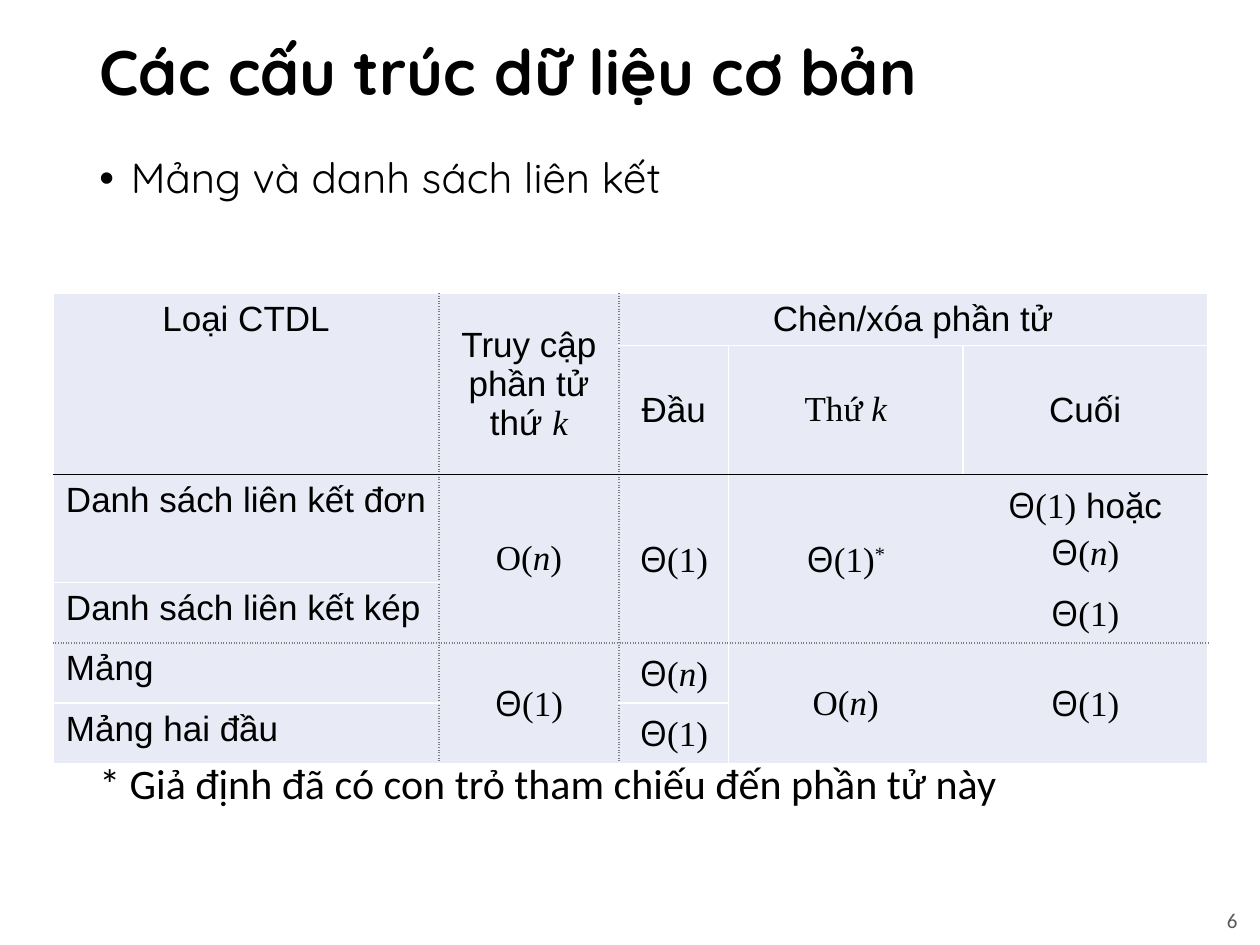
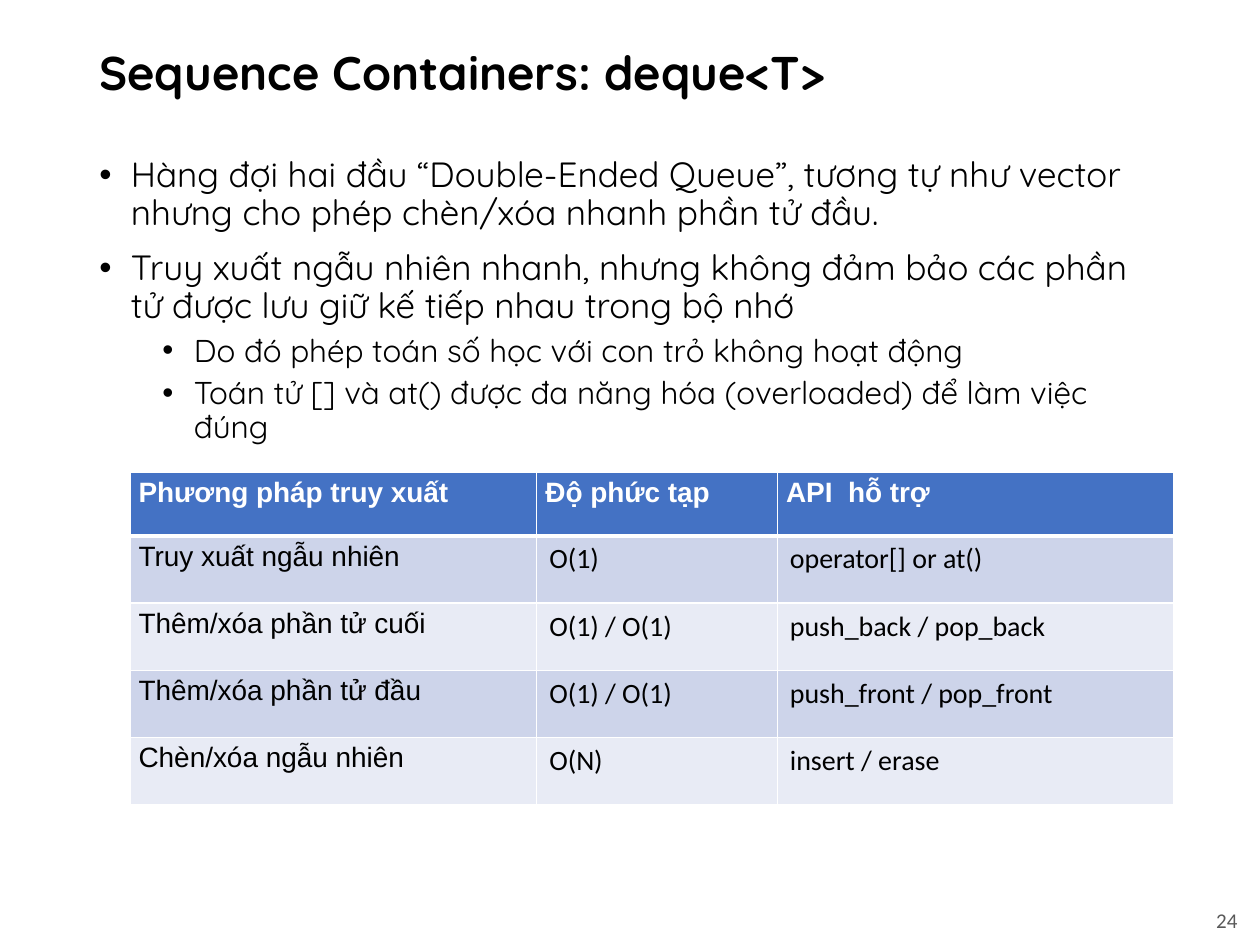
import pptx
import pptx.util
from lxml import etree
from pptx.dml.color import RGBColor
from pptx.enum.text import MSO_ANCHOR, PP_ALIGN
from pptx.oxml.ns import qn

Pt = pptx.util.Pt

BLACK = RGBColor(0x00, 0x00, 0x00)
WHITE = RGBColor(0xFF, 0xFF, 0xFF)
DOT_GRAY = RGBColor(0x7F, 0x7F, 0x7F)
NUMBER_GRAY = RGBColor(0x59, 0x59, 0x59)
HEADER_BLUE = RGBColor(0x44, 0x72, 0xC4)
BAND_DARK = RGBColor(0xCD, 0xD4, 0xEA)
BAND_LIGHT = RGBColor(0xE8, 0xEB, 0xF5)

CONTENT_LEFT, CONTENT_WIDTH = 49.7, 620.6
WIDE_INSETS = (7.2, 3.6)
NARROW_INSETS = (5, 2.9)
CENTERED_INSETS = (7.2, 0)

BULLET_LEVELS = [
    {"margin": 18, "space_before": 10},
    {"margin": 54, "space_before": 5},
]

# Runs of the complexity table: (text, font format)
SANS = {"name": "Arial"}
SERIF = {"name": "Times New Roman"}
ITALIC = {"name": "Times New Roman", "italic": True}
THETA = ("Θ", {"name": "Open Sans"})
THETA_1 = [THETA, ("(1)", SERIF)]
THETA_N = [THETA, ("(", SERIF), ("n", ITALIC), (")", SERIF)]
BIG_O_N = [("O(", SERIF), ("n", ITALIC), (")", SERIF)]

# Borders: (colour, width, dash)
WHITE_LINE = (WHITE, 1, "solid")
HEADER_LINE = (WHITE, 3, "solid")
BLACK_LINE = (BLACK, 1, "solid")
DOTTED_LINE = (DOT_GRAY, 1, "sysDot")

# (row, column, rows spanned, columns spanned, runs)
COMPLEXITY_CELLS = [
    (0, 0, 2, 1, [("Loại CTDL", SANS)]),
    (0, 1, 2, 1, [("Truy cập phần tử thứ ", SANS), ("k", ITALIC)]),
    (0, 2, 1, 3, [("Chèn/xóa phần tử", SANS)]),
    (1, 2, 1, 1, [("Đầu", SANS)]),
    (1, 3, 1, 1, [("Thứ", SERIF), (" k", ITALIC)]),
    (1, 4, 1, 1, [("Cuối", SANS)]),
    (2, 0, 1, 1, [("Danh sách liên kết đơn", SANS)]),
    (2, 1, 2, 1, BIG_O_N),
    (2, 2, 2, 1, THETA_1),
    (2, 3, 2, 1, THETA_1 + [("*", SERIF)]),
    (2, 4, 1, 1, THETA_1 + [(" hoặc ", SANS)] + THETA_N),
    (3, 0, 1, 1, [("Danh sách liên kết kép", SANS)]),
    (3, 4, 1, 1, THETA_1),
    (4, 0, 1, 1, [("Mảng", SANS)]),
    (4, 1, 2, 1, THETA_1),
    (4, 2, 1, 1, THETA_N),
    (4, 3, 2, 1, BIG_O_N),
    (4, 4, 2, 1, THETA_1),
    (5, 0, 1, 1, [("Mảng hai đầu", SANS)]),
    (5, 2, 1, 1, THETA_1),
]

DEQUE_ROWS = [
    ("Phương pháp truy xuất", "Độ phức tạp", "API  hỗ trợ"),
    ("Truy xuất ngẫu nhiên", "O(1)", "operator[] or at()"),
    ("Thêm/xóa phần tử cuối", "O(1) / O(1)", "push_back / pop_back"),
    ("Thêm/xóa phần tử đầu", "O(1) / O(1)", "push_front / pop_front"),
    ("Chèn/xóa ngẫu nhiên", "O(N)", "insert / erase"),
]


def set_all(target, **values):
    for attribute, value in values.items():
        setattr(target, attribute, value)


def add_run(paragraph, text, size, color=BLACK, **font_format):
    run = paragraph.add_run()
    run.text = text
    set_all(run.font, size=Pt(size), **font_format)
    run.font.color.rgb = color
    return run


def set_insets(holder, insets):
    side, top = map(Pt, insets)
    set_all(holder, margin_left=side, margin_right=side,
            margin_top=top, margin_bottom=top)


def add_text_frame(slide, left, top, width, height, anchor=MSO_ANCHOR.TOP):
    frame = slide.shapes.add_textbox(Pt(left), Pt(top), Pt(width), Pt(height)).text_frame
    set_all(frame, word_wrap=True, vertical_anchor=anchor)
    set_insets(frame, WIDE_INSETS)
    return frame


def add_titled_slide(deck, title, title_size, number):
    slide = deck.slides.add_slide(deck.slide_layouts[6])
    heading = add_text_frame(slide, CONTENT_LEFT, 11.5, CONTENT_WIDTH, 62.6,
                             MSO_ANCHOR.MIDDLE).paragraphs[0]
    heading.line_spacing = 0.9
    add_run(heading, title, title_size, name="Quicksand", bold=True)
    footer = add_text_frame(slide, 624.2, 511.2, 90, 28.8, MSO_ANCHOR.MIDDLE).paragraphs[0]
    footer.alignment = PP_ALIGN.RIGHT
    add_run(footer, str(number), 12, NUMBER_GRAY, name="Calibri")
    return slide


def add_bullets(slide, items):
    """Add the body text; items are (level, size, text)."""
    frame = add_text_frame(slide, CONTENT_LEFT, 86.4, CONTENT_WIDTH, 392.4)
    for index, (level, size, text) in enumerate(items):
        paragraph = frame.add_paragraph() if index else frame.paragraphs[0]
        style = BULLET_LEVELS[level]
        set_all(paragraph, level=level, line_spacing=0.9,
                space_before=Pt(style["space_before"] if index else 0))
        properties = paragraph._p.get_or_add_pPr()
        properties.set("marL", str(Pt(style["margin"])))
        properties.set("indent", str(Pt(-18)))
        etree.SubElement(properties, qn("a:buFont"), typeface="Arial")
        etree.SubElement(properties, qn("a:buChar"), char="•")
        add_run(paragraph, text, size, name="Quicksand")


def add_plain_table(slide, left, top, widths, heights):
    table = slide.shapes.add_table(len(heights), len(widths), Pt(left), Pt(top),
                                   Pt(sum(widths)), Pt(sum(heights))).table
    set_all(table, first_row=False, horz_banding=False)
    for column, width in zip(table.columns, widths):
        column.width = Pt(width)
    for row, height in zip(table.rows, heights):
        row.height = Pt(height)
    return table


def style_cell(cell, fill, insets, left, right, top, bottom):
    """Set borders, then fill, as the cell properties need that order."""
    properties = cell._tc.get_or_add_tcPr()
    for side, border in zip("LRTB", (left, right, top, bottom)):
        line = etree.SubElement(properties, qn("a:ln" + side))
        if border is None:
            etree.SubElement(line, qn("a:noFill"))
            continue
        color, width, dash = border
        line.set("w", str(Pt(width)))
        solid = etree.SubElement(line, qn("a:solidFill"))
        etree.SubElement(solid, qn("a:srgbClr"), val=str(color))
        etree.SubElement(line, qn("a:prstDash"), val=dash)
    cell.fill.solid()
    cell.fill.fore_color.rgb = fill
    set_insets(cell, insets)


def column_border(column, row):
    if column in (1, 2):
        return DOTTED_LINE
    return None if column == 4 and row >= 2 else WHITE_LINE


def row_border(row, column):
    if row == 3 and column == 4:
        return None
    return {2: BLACK_LINE, 4: DOTTED_LINE}.get(row, WHITE_LINE)


def add_complexity_table(slide):
    table = add_plain_table(slide, 30.5, 167.8, [220.3, 103, 62.6, 133.9, 139.7],
                            [29.7, 73.7, 61.7, 34.5, 34.5, 34.5])
    # Cells hidden by a merge must not stretch their row
    for cell in table.iter_cells():
        set_insets(cell, CENTERED_INSETS)
    for row, column, row_span, column_span, runs in COMPLEXITY_CELLS:
        cell = table.cell(row, column)
        if row_span * column_span > 1:
            cell.merge(table.cell(row + row_span - 1, column + column_span - 1))
        style_cell(cell, BAND_LIGHT, CENTERED_INSETS if column else WIDE_INSETS,
                   column_border(column, row), column_border(column + column_span, row),
                   row_border(row, column), row_border(row + row_span, column))
        cell.vertical_anchor = MSO_ANCHOR.MIDDLE if column else MSO_ANCHOR.TOP
        paragraph = cell.text_frame.paragraphs[0]
        paragraph.alignment = PP_ALIGN.CENTER if column or row == 0 else PP_ALIGN.LEFT
        for text, font_format in runs:
            run = add_run(paragraph, text, 20, **font_format)
            if text == "*":
                run._r.get_or_add_rPr().set("baseline", "30000")


def add_deque_table(slide):
    table = add_plain_table(slide, 74.2, 270, [232.5, 137.5, 226.8], [36.3] + [38.4] * 4)
    for row, texts in enumerate(DEQUE_ROWS):
        is_header = row == 0
        fill = HEADER_BLUE if is_header else (BAND_LIGHT, BAND_DARK)[row % 2]
        for column, text in enumerate(texts):
            uses_arial = is_header or column == 0
            cell = table.cell(row, column)
            style_cell(cell, fill, NARROW_INSETS if uses_arial else WIDE_INSETS,
                       WHITE_LINE, WHITE_LINE,
                       HEADER_LINE if row == 1 else WHITE_LINE,
                       HEADER_LINE if is_header else WHITE_LINE)
            add_run(cell.text_frame.paragraphs[0], text, 16,
                    WHITE if is_header else BLACK,
                    name="Arial" if uses_arial else "Calibri", bold=is_header)


def main():
    deck = pptx.Presentation()
    set_all(deck, slide_width=Pt(720), slide_height=Pt(540))

    structures = add_titled_slide(deck, "Các cấu trúc dữ liệu cơ bản", 36, 6)
    add_bullets(structures, [(0, 24, "Mảng và danh sách liên kết")])
    add_complexity_table(structures)
    footnote = add_text_frame(structures, CONTENT_LEFT, 429.1, 598.3, 36)
    add_run(footnote.paragraphs[0], "* Giả định đã có con trỏ tham chiếu đến phần tử này",
            24, name="Calibri")

    deque = add_titled_slide(deck, "Sequence Containers: deque<T>", 27, 24)
    add_bullets(deque, [
        (0, 20, "Hàng đợi hai đầu “Double-Ended Queue”, tương tự như vector "
                "nhưng cho phép chèn/xóa nhanh phần tử đầu."),
        (0, 20, "Truy xuất ngẫu nhiên nhanh, nhưng không đảm bảo các phần tử "
                "được lưu giữ kế tiếp nhau trong bộ nhớ"),
        (1, 18, "Do đó phép toán số học với con trỏ không hoạt động"),
        (1, 18, "Toán tử [] và at() được đa năng hóa (overloaded) để làm việc đúng"),
    ])
    add_deque_table(deque)

    deck.save("out.pptx")


if __name__ == "__main__":
    main()
